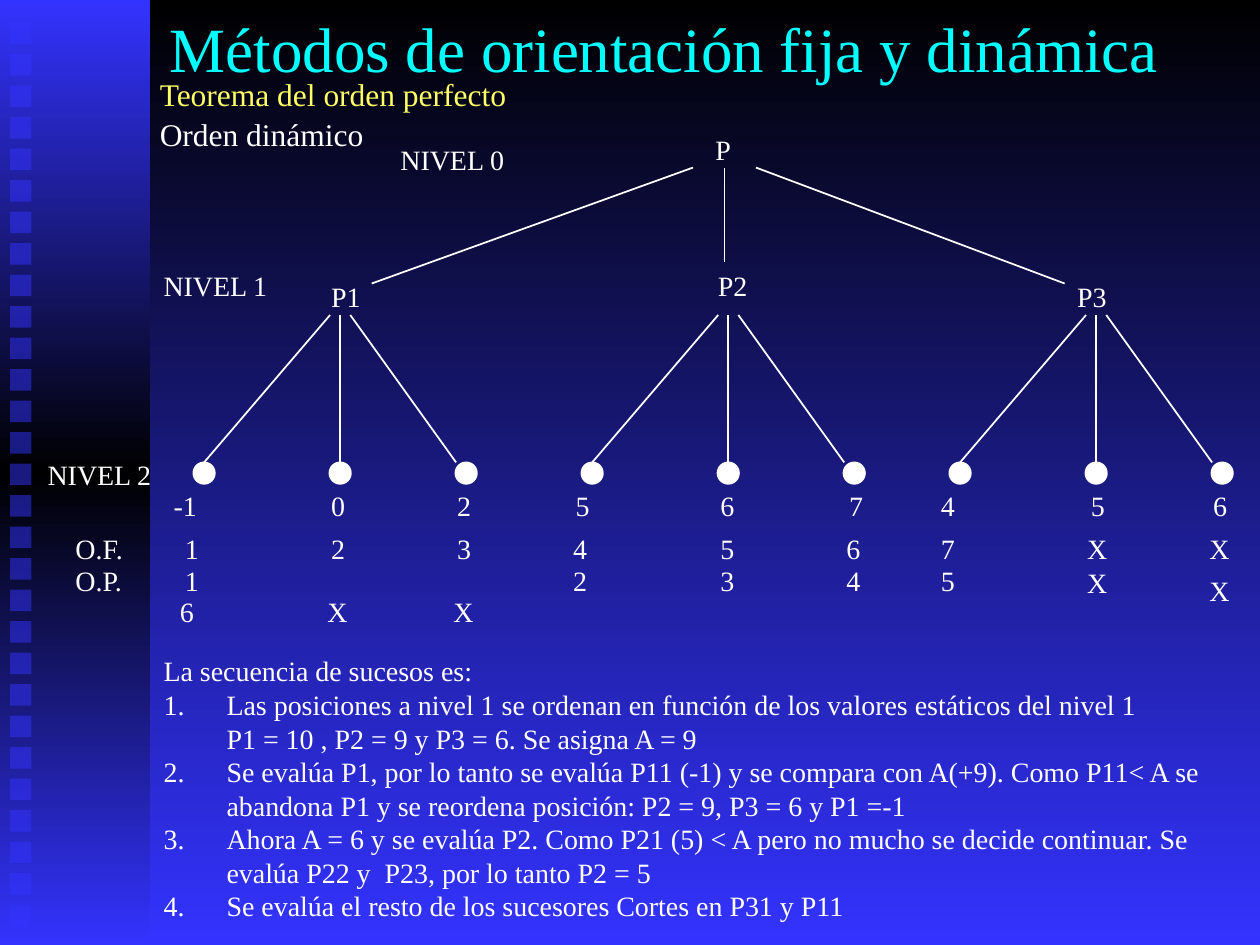
from copy import deepcopy

from pptx import Presentation
from pptx.dml.color import RGBColor
from pptx.enum.shapes import MSO_CONNECTOR, MSO_SHAPE
from pptx.enum.text import MSO_ANCHOR
from pptx.oxml.ns import qn
from pptx.oxml.xmlchemy import OxmlElement
from pptx.util import Inches, Pt

FONT = "Times New Roman"
BLACK, BLUE, WHITE, CYAN, YELLOW = "000000", "3333FF", "FFFFFF", "00FFFF", "FFFF66"

TITLE = "Métodos de orientación fija y dinámica"
SUBTITLES = [("Teorema del orden perfecto", YELLOW), ("Orden dinámico", WHITE)]

# Text, hanging-indent left edge, numbered
STEPS = [
    ("La secuencia de sucesos es:", 0.5, False),
    ("Las posiciones a nivel 1 se ordenan en función de los valores estáticos del nivel 1",
     0.5, True),
    ("P1 = 10 , P2 = 9 y P3 = 6. Se asigna A = 9", 1, False),
    ("Se evalúa P1, por lo tanto se evalúa P11 (-1) y se compara con A(+9). "
     "Como P11< A se abandona P1 y se reordena posición: P2 = 9, P3 = 6 y P1 =-1", 0.5, True),
    ("Ahora A = 6 y se evalúa P2. Como P21 (5) < A pero no mucho se decide continuar. "
     "Se evalúa P22 y  P23, por lo tanto P2 = 5", 0.5, True),
    ("Se evalúa el resto de los sucesores Cortes en P31 y P11", 0.5, True),
]

# Text, left, top
NODE_LABELS = [
    ("NIVEL 0", 3.08, 1.08), ("NIVEL 1", 1.2, 2.08), ("NIVEL 2", 0.28, 3.58),
    ("P", 5.58, 1), ("P1", 2.53, 2.17), ("P2", 5.6, 2.08), ("P3", 8.45, 2.17),
    ("X", 8.53, 4.44), ("X", 9.5, 4.5),
]
# Top of each row, then text and left of its labels
LEAF_ROWS = {
    3.83: [("-1", 1.28), ("0", 2.53), ("2", 3.53), ("5", 4.47), ("6", 5.62),
           ("7", 6.64), ("4", 7.37), ("5", 8.56), ("6", 9.53)],
    4.17: [("O.F.", 0.5), ("1", 1.37), ("2", 2.53), ("3", 3.53), ("4", 4.45),
           ("5", 5.62), ("6", 6.62), ("7", 7.37), ("X", 8.53), ("X", 9.5)],
    4.42: [("O.P.", 0.5), ("1", 1.37), ("2", 4.45), ("3", 5.62), ("4", 6.62), ("5", 7.37)],
    4.67: [("6", 1.33), ("X", 2.5), ("X", 3.5)],
}

ROOT_BRANCHES = [(5.5, 1.33, 2.95, 2.25), (5.75, 1.33, 5.75, 2.08), (6, 1.33, 8.45, 2.25)]
SUBTREE_CENTRES = [2.7, 5.78, 8.7]
# Offsets from a subtree's centre: branch start, branch end, leaf centre
LEAF_OFFSETS = [(-0.08, -1.08, -1.08), (0, 0, 0), (0.08, 0.92, 1)]
BRANCH_TOP, LEAF_TOP, LEAF_SIZE = 2.5, 3.67, 0.17

deck = Presentation()
deck.slide_width, deck.slide_height = Inches(10), Inches(7.5)
page = deck.slides.add_slide(deck.slide_layouts[6])


def color(hex_code):
    return RGBColor.from_string(hex_code)


def fill_downwards(fill, element, colors):
    """Fill with evenly spaced gradient stops from top to bottom."""
    fill.gradient()
    fill.gradient_angle = 270
    stop_list = next(element.iter(qn("a:gsLst")))
    while len(stop_list) < len(colors):
        stop_list.append(deepcopy(stop_list[-1]))
    for index, (stop, hex_code) in enumerate(zip(fill.gradient_stops, colors)):
        stop.color.rgb = color(hex_code)
        stop.position = index / (len(colors) - 1)


def add_plain_shape(kind, left, top, width, height, hex_code):
    shape = page.shapes.add_shape(kind, Inches(left), Inches(top), Inches(width), Inches(height))
    shape.shadow.inherit = False
    shape.fill.solid()
    shape.fill.fore_color.rgb = color(hex_code)
    shape.line.fill.background()
    return shape


def add_branch(x1, y1, x2, y2):
    line = page.shapes.add_connector(
        MSO_CONNECTOR.STRAIGHT, Inches(x1), Inches(y1), Inches(x2), Inches(y2))
    line.line.color.rgb = color(WHITE)
    line.line.width = Pt(1)
    line._element.spPr.append(OxmlElement("a:effectLst"))


def add_text(lines, left, top, width, height, size):
    """Add a box with one paragraph for each (text, color) pair."""
    box = page.shapes.add_textbox(Inches(left), Inches(top), Inches(width), Inches(height))
    frame = box.text_frame
    frame.word_wrap = True
    frame.text = "\n".join(text for text, _ in lines)
    for para, (_, hex_code) in zip(frame.paragraphs, lines):
        for span in para.runs:
            span.font.name = FONT
            span.font.size = Pt(size)
            span.font.color.rgb = color(hex_code)
    return frame


def add_label(text, left, top):
    add_text([(text, WHITE)], left, top, max(0.36, 0.2 + 0.12 * len(text)), 0.37, 16)


def set_indent(para, left, hanging):
    properties = para._p.get_or_add_pPr()
    properties.set("marL", str(Inches(left)))
    properties.set("indent", str(-Inches(hanging)))
    return properties


# Background and side band
fill_downwards(page.background.fill, page.element, [BLACK, BLUE])
band = add_plain_shape(MSO_SHAPE.RECTANGLE, 0, 0, 1.19, 7.5, BLUE)
fill_downwards(band.fill, band.element, [BLUE, BLACK, BLUE])
for row in range(29):
    square = add_plain_shape(MSO_SHAPE.RECTANGLE, 0.08, 0.18 + 0.25 * row, 0.17, 0.17, BLUE)
    alpha = OxmlElement("a:alpha")
    alpha.set("val", "50000")
    next(square.element.spPr.iter(qn("a:srgbClr"))).append(alpha)

# Headings
title = add_text([(TITLE, CYAN)], 1.25, 0, 8.5, 0.75, 36)
title.vertical_anchor = MSO_ANCHOR.MIDDLE
subtitles = add_text(SUBTITLES, 1.17, 0.58, 8.5, 0.75, 18)
for para in subtitles.paragraphs:
    set_indent(para, 0.38, 0.38)
    para.line_spacing = 0.9
subtitles.paragraphs[1].space_before = Pt(3.6)

# Tree
for branch in ROOT_BRANCHES:
    add_branch(*branch)
for centre in SUBTREE_CENTRES:
    for start, end, leaf in LEAF_OFFSETS:
        add_branch(centre + start, BRANCH_TOP, centre + end, LEAF_TOP)
        dot = add_plain_shape(MSO_SHAPE.OVAL, centre + leaf - LEAF_SIZE / 2, LEAF_TOP,
                              LEAF_SIZE, LEAF_SIZE, WHITE)
        dot.line.color.rgb = color(WHITE)
        dot.line.width = Pt(1)

for label in NODE_LABELS:
    add_label(*label)
for top, labels in LEAF_ROWS.items():
    for text, left in labels:
        add_label(text, left, top)

# Sequence of events
steps = add_text([(text, WHITE) for text, _, _ in STEPS], 1.2, 5.14, 8.5, 2.25, 16)
for para, (_, left, numbered) in zip(steps.paragraphs, STEPS):
    para.level = 1 if left > 0.5 else 0
    properties = set_indent(para, left, 0.5)
    if numbered:
        number = OxmlElement("a:buAutoNum")
        number.set("type", "arabicPeriod")
        properties.append(number)

deck.save("out.pptx")
